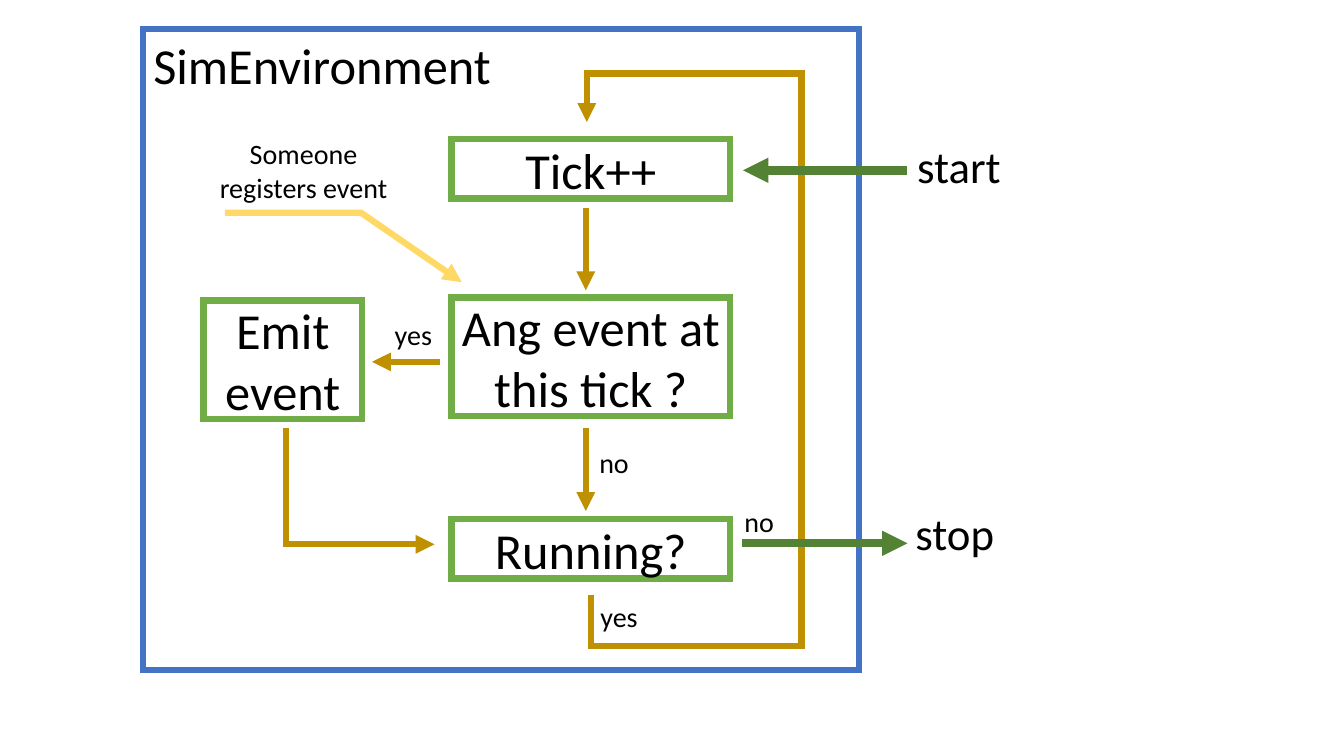
from dataclasses import dataclass

from lxml.etree import SubElement
from pptx import Presentation
from pptx.dml.color import RGBColor
from pptx.enum.shapes import MSO_CONNECTOR, MSO_SHAPE
from pptx.enum.text import MSO_ANCHOR, MSO_AUTO_SIZE, PP_ALIGN
from pptx.oxml.ns import qn
from pptx.util import Inches, Pt

RECT = MSO_SHAPE.RECTANGLE
STRAIGHT = MSO_CONNECTOR.STRAIGHT
TOP, MIDDLE = MSO_ANCHOR.TOP, MSO_ANCHOR.MIDDLE
LEFT, CENTER = PP_ALIGN.LEFT, PP_ALIGN.CENTER
FIT, FIXED = MSO_AUTO_SIZE.SHAPE_TO_FIT_TEXT, MSO_AUTO_SIZE.NONE
TITLE_ONLY = 5

BLUE, GREEN, DARK = "4472C4", "70AD47", "548235"
GOLD, YELLOW = "BF9000", "FFD966"
BLACK, WHITE = "000000", "FFFFFF"


@dataclass
class Step:
    text: str
    x: float
    y: float
    w: float
    h: float


@dataclass
class Label:
    text: str
    x: float
    y: float
    h: float = 0.44
    size: float = 20


@dataclass
class Arrow:
    points: list[tuple[float, float]]
    color: str = GOLD
    width: float = 4.5


STEPS = [
    Step("Tick++", 4.48, 1.38, 2.76, 0.59),
    Step("Ang event at this tick ?", 4.48, 2.95, 2.76, 1.18),
    Step("Emit event", 2.02, 2.98, 1.57, 1.18),
    Step("Running?", 4.48, 5.15, 2.76, 0.59),
]
ARROWS = [
    Arrow([(5.81, 2.06), (5.81, 2.88)]),
    Arrow([(4.36, 3.59), (3.69, 3.59)]),
    Arrow([(5.81, 4.25), (5.81, 5.07)]),
    Arrow([(5.86, 5.9), (5.86, 6.41), (7.95, 6.41),
           (7.95, 0.73), (5.82, 0.73), (5.82, 1.21)]),
    Arrow([(2.84, 4.25), (2.84, 5.4), (4.31, 5.4)]),
    Arrow([(2.23, 2.11), (3.58, 2.11), (4.58, 2.8)], YELLOW),
    Arrow([(9, 1.69), (7.37, 1.69)], DARK, 6),
    Arrow([(7.36, 5.39), (9, 5.39)], DARK, 6),
]
LABELS = [
    Label("yes", 3.11, 3.1),
    Label("no", 5.1, 4.37),
    Label("Someone registers event", 2.02, 1.31, 0.77),
    Label("yes", 5.15, 5.9),
    Label("start", 8.52, 1.33, 0.64, 32),
    Label("no", 6.54, 4.96),
    Label("stop", 8.48, 4.97, 0.64, 32),
]


def rgb(color: str) -> RGBColor:
    return RGBColor.from_string(color)


def stroke(shape, color: str, width: float):
    """Set a sharp-cornered line and return its XML element."""
    shape.line.color.rgb = rgb(color)
    shape.line.width = Pt(width)
    line = shape._element.spPr.find(qn("a:ln"))
    SubElement(line, qn("a:miter"), lim="800000")
    return line


def write(shape, text: str, size: float, align=CENTER, anchor=TOP,
          fit=FIXED) -> None:
    frame = shape.text_frame
    frame.text = text
    frame.word_wrap = True
    frame.auto_size = fit
    frame.vertical_anchor = anchor
    para = frame.paragraphs[0]
    para.alignment = align
    para.line_spacing = 1.0
    para.font.name = "Calibri"
    para.font.size = Pt(size)
    para.font.color.rgb = rgb(BLACK)


def box(shape, color: str) -> None:
    shape.fill.solid()
    shape.fill.fore_color.rgb = rgb(WHITE)
    stroke(shape, color, 4.5)


def draw_frame(title) -> None:
    title.left, title.top = Inches(1.42), Inches(0.29)
    title.width, title.height = Inches(7.1), Inches(6.36)
    box(title, BLUE)
    write(title, "SimEnvironment", 36, LEFT)


def draw_step(shapes, step: Step) -> None:
    shape = shapes.add_shape(RECT, Inches(step.x), Inches(step.y),
                             Inches(step.w), Inches(step.h))
    box(shape, GREEN)
    shape.shadow.inherit = False
    write(shape, step.text, 36, anchor=MIDDLE)


def draw_arrow(shapes, arrow: Arrow) -> None:
    start, *rest = [(Inches(x), Inches(y)) for x, y in arrow.points]
    if len(rest) == 1:
        shape = shapes.add_connector(STRAIGHT, *start, *rest[0])
    else:
        pen = shapes.build_freeform(*start)
        pen.add_line_segments(rest, close=False)
        shape = pen.convert_to_shape()
        shape.fill.background()
    line = stroke(shape, arrow.color, arrow.width)
    SubElement(line, qn("a:tailEnd"), type="triangle")
    SubElement(shape._element.spPr, qn("a:effectLst"))


def draw_label(shapes, label: Label) -> None:
    shape = shapes.add_textbox(Inches(label.x), Inches(label.y),
                               Inches(1.98), Inches(label.h))
    write(shape, label.text, label.size, fit=FIT)


def main() -> None:
    deck = Presentation()
    deck.slide_width, deck.slide_height = Inches(13.33), Inches(7.5)
    shapes = deck.slides.add_slide(deck.slide_layouts[TITLE_ONLY]).shapes
    draw_frame(shapes.title)
    for step in STEPS:
        draw_step(shapes, step)
    for arrow in ARROWS:
        draw_arrow(shapes, arrow)
    for label in LABELS:
        draw_label(shapes, label)
    deck.save("out.pptx")


if __name__ == "__main__":
    main()
